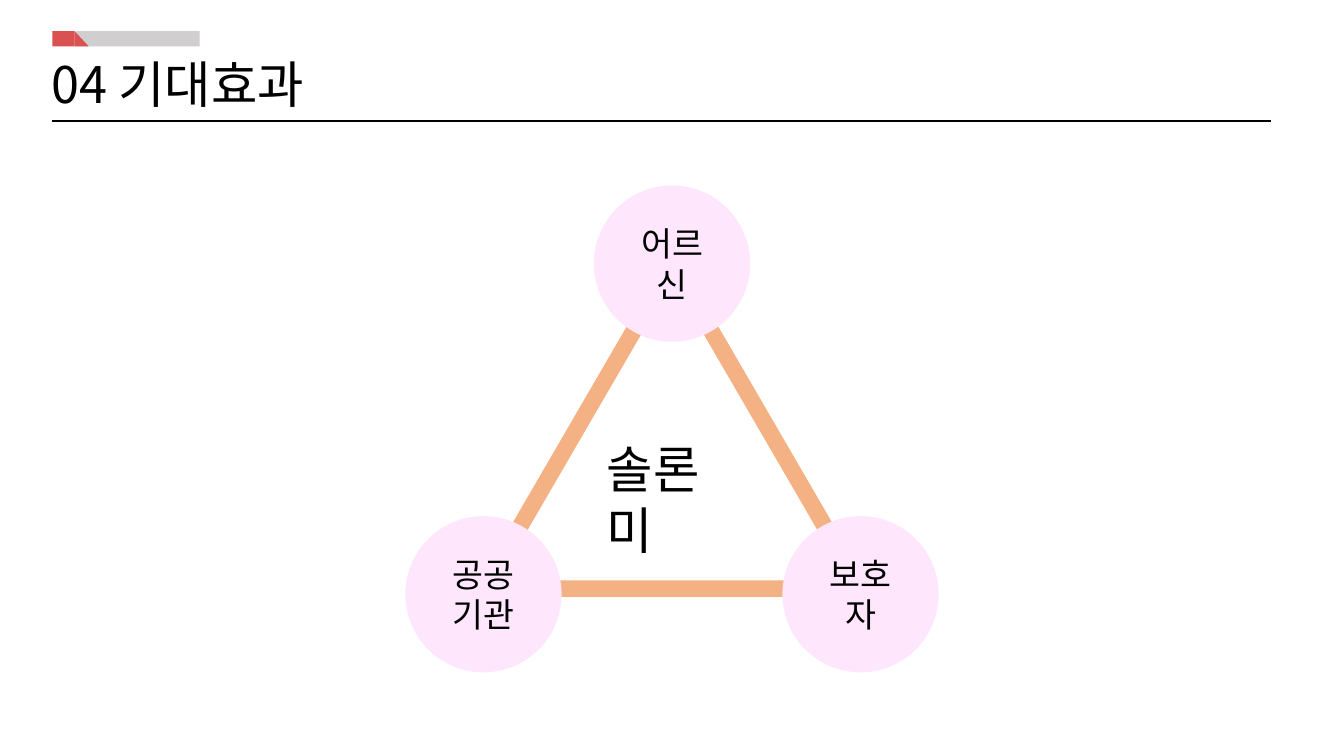
import pptx
import pptx.util
import pptx.dml.color
import pptx.enum.shapes
import pptx.enum.text
import pptx.oxml.ns
from lxml import etree

Inches, Pt = pptx.util.Inches, pptx.util.Pt
SHAPES = pptx.enum.shapes.MSO_SHAPE
ALIGN = pptx.enum.text.PP_ALIGN

# Content
HEADING = "04 기대효과"
CENTRE_NAME = "솔론미"
# label, column and row on the triangle (0 to 1)
PARTIES = [
    ("어르신", 0.5, 0),
    ("공공\n기관", 0, 1),
    ("보호자", 1, 1),
]
FONT = "Noto Sans CJK KR"
COLOURS = {"text": "000000", "party": "FEE6FC", "link": "F4B183",
           "bar": "D0CECE", "accent": "DA5151"}

# Layout in inches
WIDTH, HEIGHT = 13.33, 7.5
MARGIN = 0.52
RULE_Y, RULE_END = 1.2, 12.61
BAR_TOP, BAR_HEIGHT = 0.31, 0.15
TRIANGLE = (4.8, 2.62, 3.74, 3.22)
PARTY_SIZE = 1.55
PARTY_LEFT, PARTY_TOP = 4.02, 1.84
PARTY_STEP_X, PARTY_STEP_Y = 3.74, 3.28

deck = pptx.Presentation()
deck.slide_width, deck.slide_height = Inches(WIDTH), Inches(HEIGHT)
slide = deck.slides.add_slide(deck.slide_layouts[6])


def colour(name):
    return pptx.dml.color.RGBColor.from_string(COLOURS[name])


def add_filled(kind, box, fill=None):
    shape = slide.shapes.add_shape(kind, *map(Inches, box))
    shape.shadow.inherit = False
    shape.line.fill.background()
    if fill:
        shape.fill.solid()
        shape.fill.fore_color.rgb = colour(fill)
    else:
        shape.fill.background()
    return shape


def write(shape, text, size, align):
    frame = shape.text_frame
    frame.text = text
    frame.word_wrap = True
    for paragraph in frame.paragraphs:
        paragraph.alignment = align
        for run in paragraph.runs:
            run.font.size = Pt(size)
            run.font.name = FONT
            run.font.color.rgb = colour("text")
            east_asian = etree.SubElement(run.font._element, pptx.oxml.ns.qn("a:ea"))
            east_asian.set("typeface", FONT)


def add_title(text, box):
    write(slide.shapes.add_textbox(*map(Inches, box)), text, 36, ALIGN.LEFT)


# Triangle linking the three parties
links = add_filled(SHAPES.ISOSCELES_TRIANGLE, TRIANGLE)
links.line.color.rgb = colour("link")
links.line.width = Pt(11.75)

for label, column, row in PARTIES:
    party = add_filled(SHAPES.OVAL, (PARTY_LEFT + column * PARTY_STEP_X,
                                     PARTY_TOP + row * PARTY_STEP_Y,
                                     PARTY_SIZE, PARTY_SIZE), "party")
    party.text_frame.vertical_anchor = pptx.enum.text.MSO_ANCHOR.MIDDLE
    write(party, label, 24, ALIGN.CENTER)

add_title(CENTRE_NAME, (5.92, 4.3, 1.55, 0.71))

# Header bar with slanted accent
add_filled(SHAPES.RECTANGLE, (0.75, BAR_TOP, 1.23, BAR_HEIGHT), "bar")
add_filled(SHAPES.RECTANGLE, (MARGIN, BAR_TOP, 0.22, BAR_HEIGHT), "accent")
slant = add_filled(SHAPES.ISOSCELES_TRIANGLE, (0.74, BAR_TOP, 0.14, BAR_HEIGHT), "accent")
slant.adjustments[0] = 0

# Heading and rule
add_title(HEADING, (0.41, 0.48, 2.71, 0.71))
rule = slide.shapes.add_connector(pptx.enum.shapes.MSO_CONNECTOR.STRAIGHT,
                                  Inches(MARGIN), Inches(RULE_Y),
                                  Inches(RULE_END), Inches(RULE_Y))
rule.line.color.rgb = colour("text")
rule.line.width = Pt(1)
etree.SubElement(rule._element.spPr, pptx.oxml.ns.qn("a:effectLst"))

deck.save("out.pptx")
